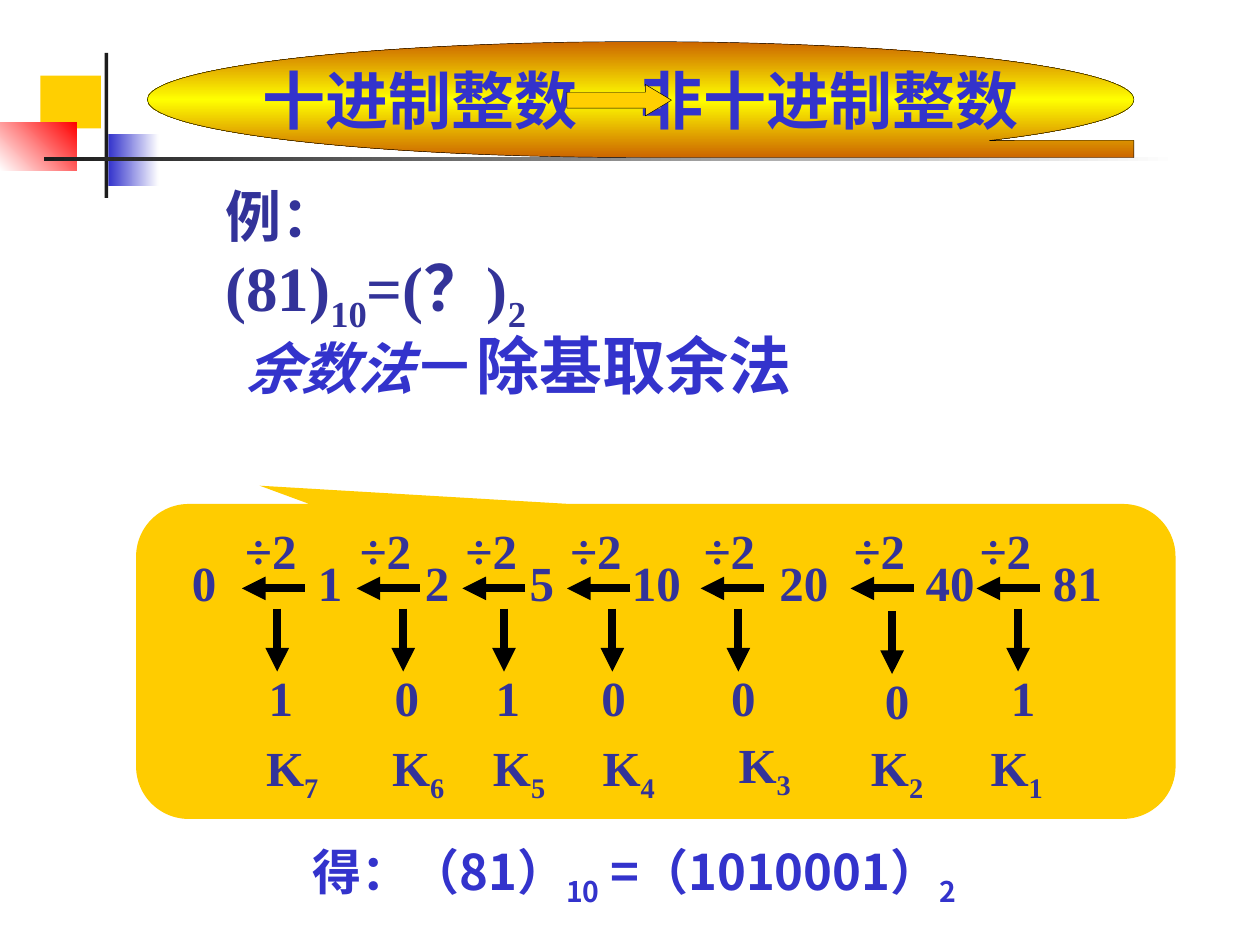
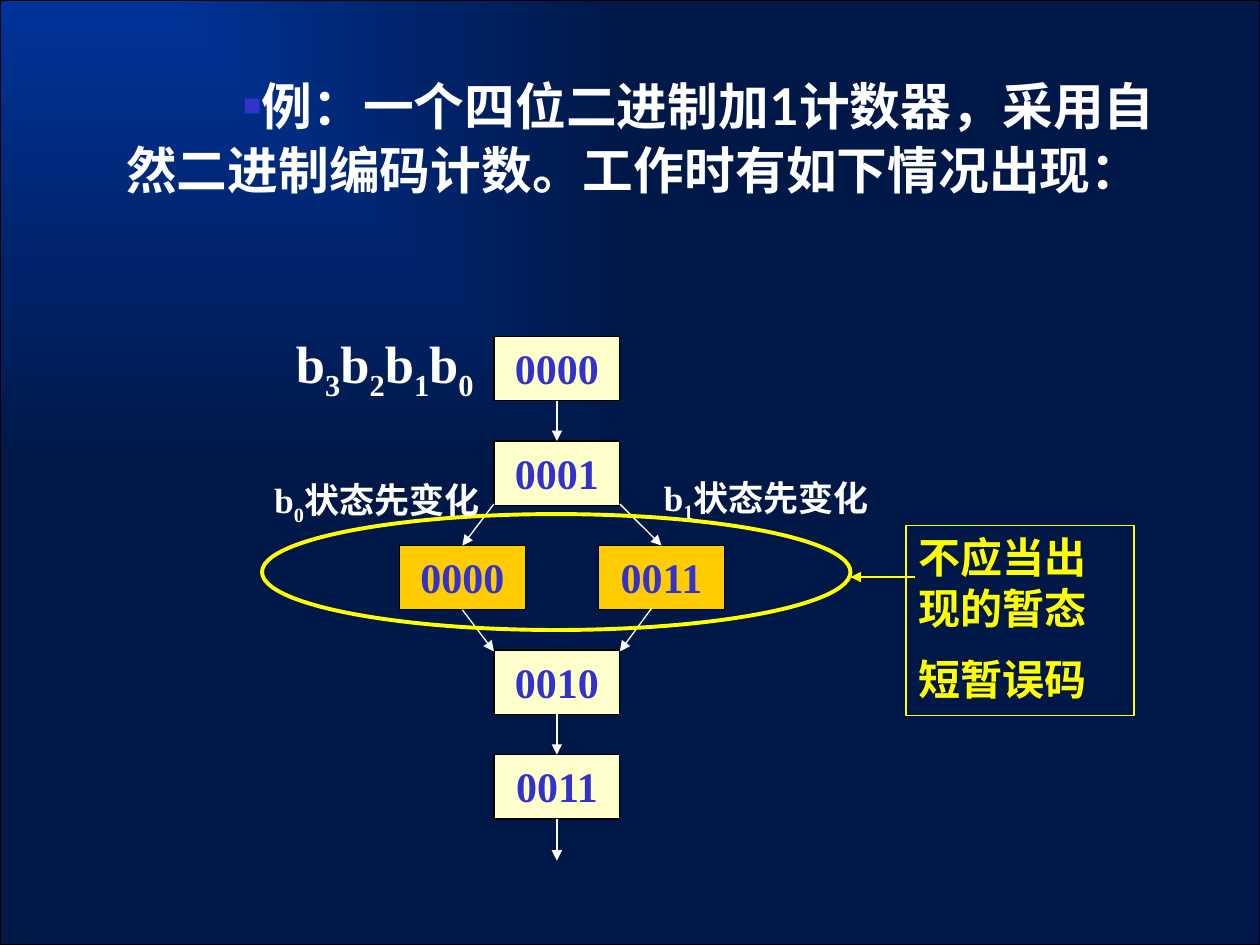
from lxml import etree
from pptx import Presentation
from pptx.dml.color import RGBColor
from pptx.enum.shapes import MSO_CONNECTOR, MSO_SHAPE as Preset
from pptx.enum.text import MSO_ANCHOR as Anchor, MSO_AUTO_SIZE as AutoSize, PP_ALIGN as Align
from pptx.oxml.ns import qn
from pptx.util import Inches, Pt

# ---- Shared style ----
SERIF, SANS, BODY = "Times New Roman", "Noto Sans CJK SC", "Lato"
BLUE, NAVY, GOLD, AMBER = "3333CC", "333399", "FFCF01", "FFCC00"
WHITE, BLACK, YELLOW, CREAM, DARK = "FFFFFF", "000000", "FFFF00", "FFFFCC", "1C1C1C"

# ---- Content: slide 1 ----
TITLE = "十进制整数　非十进制整数"
# Each run: text, then what differs from the box's style
EXAMPLE = [("例：", {"size": 32}), ("\n", {}), ("(81)", {}), ("10", {"sub": True}),
           ("=(？)", {}), ("2", {"sub": True})]
METHOD = [("余数法", {"size": 32, "font": SERIF, "italic": True}), ("－除基取余法", {})]
RESULT = [("得：（81）", {}), ("10", {"sub": True}), (" =（1010001）", {}), ("2", {"sub": True})]
# Quotient and the centre of its label
QUOTIENTS = [("81", 8.55), ("40", 7.54), ("20", 6.38), ("10", 5.21),
             ("5", 4.3), ("2", 3.47), ("1", 2.62), ("0", 1.62)]
# Division arrow start, drop arrow x, remainder, its centre, K centre, drop shift, K shift
DIVISIONS = [
    (8.25, 8.08, "1", 8.12, 8.07, 0, 0),
    (7.25, 7.08, "0", 7.12, 7.12, 0.02, 0),
    (6.06, 5.86, "0", 5.9, 6.07, 0, -0.02),
    (5, 4.86, "0", 4.87, 4.99, 0, 0),
    (4.17, 4, "1", 4.03, 4.12, 0, 0),
    (3.33, 3.2, "0", 3.23, 3.32, 0, 0),
    (2.42, 2.2, "1", 2.23, 2.32, 0, 0),
]

# ---- Content: slide 2 ----
INTRO = "例：一个四位二进制加1计数器，采用自然二进制编码计数。工作时有如下情况出现："
# State: code, left, row, fill
STATES = {
    "start": ("0000", 3.92, 0, CREAM),
    "one": ("0001", 3.92, 1, CREAM),
    "wrong_left": ("0000", 3.17, 2, AMBER),
    "wrong_right": ("0011", 4.75, 2, AMBER),
    "two": ("0010", 3.92, 3, CREAM),
    "three": ("0011", 3.92, 4, CREAM),
}
STATE_TOP, STATE_STEP, STATE_SIZE = 2.67, 0.83, (1, 0.51)
# Transition: from point, to point, state left by its bottom, state entered by its top
TRANSITIONS = [
    ((4.42, 3.17), (4.42, 3.5), "start", "one"),
    ((3.92, 4), (3.67, 4.33), None, "wrong_left"),
    ((4.92, 4), (5.25, 4.33), None, "wrong_right"),
    ((3.67, 4.83), (3.92, 5.17), "wrong_left", None),
    ((5.17, 4.83), (4.92, 5.17), None, None),
    ((4.42, 5.67), (4.42, 6), "two", "three"),
    ((4.42, 6.5), (4.42, 6.83), "three", None),
]
CHANGES = [("0", 2.08, 3.75), ("1", 5.17, 3.73)]
WARNING = ["不应当出现的暂态", "短暂误码"]


# ---- Helpers ----
def colour(value):
    return RGBColor.from_string(value)


def set_gradient(shape, stops, angle=None):
    """Linear gradient at an angle, or one spreading from the top left corner."""
    shape.fill.background()
    empty = shape._element.spPr.find(qn("a:noFill"))
    gradient = etree.Element(qn("a:gradFill"), rotWithShape="1")
    stop_list = etree.SubElement(gradient, qn("a:gsLst"))
    for position, value in stops:
        stop = etree.SubElement(stop_list, qn("a:gs"), pos=str(position * 1000))
        etree.SubElement(stop, qn("a:srgbClr"), val=value)
    if angle is None:
        spread = etree.SubElement(gradient, qn("a:path"), path="rect")
        etree.SubElement(spread, qn("a:fillToRect"), r="100000", b="100000")
    else:
        etree.SubElement(gradient, qn("a:lin"), ang=str(angle * 60000), scaled="0")
    empty.getparent().replace(empty, gradient)


def add_box(page, preset, place, fill=None, line=None, width=0.75, angle=None):
    box = page.shapes.add_shape(preset, *map(Inches, place))
    box.shadow.inherit = False
    if isinstance(fill, list):
        set_gradient(box, fill, angle)
    elif fill:
        box.fill.solid()
        box.fill.fore_color.rgb = colour(fill)
    else:
        box.fill.background()
    if line:
        box.line.color.rgb = colour(line)
        box.line.width = Pt(width)
    else:
        box.line.fill.background()
    return box


def write_para(para, runs, size, color, font=SERIF, align=Align.LEFT):
    para.alignment = align
    for text, change in runs:
        if text == "\n":
            para.add_line_break()
            continue
        span = para.add_run()
        span.text = text
        name = change.get("font", font)
        span.font.size = Pt(change.get("size", size))
        span.font.bold = True
        span.font.italic = change.get("italic", False)
        span.font.color.rgb = colour(color)
        span.font.name = name
        properties = span.font._element
        east_asian = SANS if name == SANS else BODY
        etree.SubElement(properties, qn("a:ea"), typeface=east_asian)
        if change.get("sub"):
            properties.set("baseline", "-25000")


def write_text(shape, paragraphs, size, color, font=SERIF, align=Align.LEFT,
               anchor=Anchor.TOP, wrap=True):
    frame = shape.text_frame
    frame.word_wrap = wrap
    frame.auto_size = AutoSize.NONE
    frame.vertical_anchor = anchor
    for index, runs in enumerate(paragraphs):
        para = frame.add_paragraph() if index else frame.paragraphs[0]
        if index:
            para.space_before = Pt(size / 2)
        write_para(para, runs, size, color, font, align)


def add_text(page, place, paragraphs, size, color, **style):
    box = page.shapes.add_textbox(*map(Inches, place))
    write_text(box, paragraphs, size, color, **style)
    return box


def add_arrow(page, start, end, color, width, source=None, target=None):
    arrow = page.shapes.add_connector(MSO_CONNECTOR.STRAIGHT, *map(Inches, start + end))
    if source is not None:
        arrow.begin_connect(source, 2)
    if target is not None:
        arrow.end_connect(target, 0)
    arrow.line.color.rgb = colour(color)
    arrow.line.width = Pt(width)
    etree.SubElement(arrow.line._get_or_add_ln(), qn("a:tailEnd"), type="triangle")
    etree.SubElement(arrow._element.spPr, qn("a:effectLst"))
    return arrow


def add_label(page, center, top, runs):
    add_text(page, (center - 0.4, top, 0.8, 0.57), [runs], 28, NAVY,
             align=Align.CENTER, anchor=Anchor.MIDDLE, wrap=False)


def add_corner_ornament(page):
    for place, fill, angle in [
        ((0.32, 0.6, 0.48, 0.42), GOLD, None),
        ((0.86, 1.06, 0.4, 0.42), [(0, BLUE), (100, WHITE)], 0),
        ((0, 0.97, 0.61, 0.38), [(0, WHITE), (100, "FF0000")], 315),
        ((0.83, 0.42, 0.03, 1.15), DARK, None),
        ((0.35, 1.25, 9, 0.03), [(0, DARK), (100, WHITE)], 0),
    ]:
        add_box(page, Preset.RECTANGLE, place, fill, angle=angle)


# ---- Slide 1: remainder method ----
def build_conversion(deck):
    page = deck.slides.add_slide(deck.slide_layouts[5])
    add_corner_ornament(page)
    middle = {"anchor": Anchor.MIDDLE, "font": SANS}
    add_text(page, (1.85, 2.54, 4.81, 0.7), [METHOD], 36, BLUE, **middle)
    add_text(page, (2.16, 6.66, 5.75, 0.57), [RESULT], 28, BLUE,
             align=Align.CENTER, **middle)

    # Division chain, right to left
    callout = add_box(page, Preset.ROUNDED_RECTANGULAR_CALLOUT, (1.08, 4, 8.25, 2.5), AMBER)
    for index, value in enumerate((-0.381, -0.558, 0.167)):
        callout.adjustments[index] = value
    for quotient, center in QUOTIENTS:
        add_label(page, center, 4.33, [(quotient, {})])
    for number, division in enumerate(DIVISIONS, 1):
        start, drop, remainder, digit_center, k_center, drop_shift, k_shift = division
        add_arrow(page, (start, 4.67), (start - 0.5, 4.67), BLACK, 4.5)
        add_label(page, start - 0.27, 4.08, [("÷2", {})])
        drop_top = 4.83 + drop_shift
        add_arrow(page, (drop, drop_top), (drop, drop_top + 0.5), BLACK, 4.5)
        add_label(page, digit_center, 5.25 + drop_shift, [(remainder, {})])
        add_label(page, k_center, 5.83 + k_shift, [("K", {}), (str(number), {"sub": True})])

    # Title on its band, with the arrow in front
    band = (1.17, 0.33, 7.83, 0.92)
    add_box(page, Preset.FLOWCHART_SEQUENTIAL_ACCESS_STORAGE, band,
            [(0, "CC6600"), (50, YELLOW), (100, "CC6600")], BLACK, 0.25, 90)
    title = page.shapes.title
    title.left, title.top, title.width, title.height = map(Inches, band)
    write_text(title, [[(TITLE, {})]], 36, BLUE, align=Align.CENTER, **middle)
    page.shapes._spTree.append(title._element)
    arrow = add_box(page, Preset.RIGHT_ARROW, (4.5, 0.67, 0.83, 0.25), GOLD, BLACK, 0.25)
    arrow.adjustments[1] = 0.833
    add_text(page, (1.69, 1.39, 3.55, 0.7), [EXAMPLE], 36, NAVY)


# ---- Slide 2: counter states ----
def build_counter(deck):
    page = deck.slides.add_slide(deck.slide_layouts[1])
    title, intro = page.shapes.title, page.placeholders[1]
    title._element.getparent().remove(title._element)
    add_box(page, Preset.RECTANGLE, (0, 0, 10, 7.5),
            [(0, "003399"), (100, "001847")], BLACK)

    # Introduction with a square bullet
    page.shapes._spTree.append(intro._element)
    intro.left, intro.top, intro.width, intro.height = map(Inches, (0.9, 0.52, 8.49, 1.17))
    para = intro.text_frame.paragraphs[0]
    para.line_spacing = 1.05
    para.space_before = Pt(0)
    properties = para._p.get_or_add_pPr()
    properties.set("marL", "0")
    properties.set("indent", str(Inches(0.93)))
    bullet_color = etree.SubElement(properties, qn("a:buClr"))
    etree.SubElement(bullet_color, qn("a:srgbClr"), val=BLUE)
    etree.SubElement(properties, qn("a:buSzPct"), val="60000")
    etree.SubElement(properties, qn("a:buChar"), char="■")
    write_text(intro, [[(INTRO, {})]], 29, WHITE, font=BODY)

    # States and transitions
    boxes = {}
    for name, (code, left, row, fill) in STATES.items():
        place = (left, STATE_TOP + row * STATE_STEP, *STATE_SIZE)
        boxes[name] = add_box(page, Preset.RECTANGLE, place, fill, BLACK)
        write_text(boxes[name], [[(code, {})]], 24, BLUE, align=Align.CENTER)
    for start, end, source, target in TRANSITIONS:
        add_arrow(page, start, end, WHITE, 0.75, boxes.get(source), boxes.get(target))
    add_box(page, Preset.OVAL, (2.08, 4.08, 4.67, 0.92), None, YELLOW, 2.25)

    # Labels
    bits = [run for bit in "3210" for run in (("b", {}), (bit, {"sub": True}))]
    add_text(page, (2.25, 2.58, 1.92, 0.6), [bits], 30, WHITE)
    for bit, left, top in CHANGES:
        add_text(page, (left, top, 2.17, 0.43),
                 [[("b", {}), (bit, {"sub": True}), ("状态先变化", {})]], 20, WHITE)
    warning = add_box(page, Preset.RECTANGLE, (7.19, 4.17, 1.81, 1.51), None, YELLOW)
    write_text(warning, [[(line, {})] for line in WARNING], 24, YELLOW)
    add_arrow(page, (7.26, 4.58), (6.75, 4.58), YELLOW, 0.75)


def main():
    deck = Presentation()
    deck.slide_width, deck.slide_height = Inches(10), Inches(7.5)
    build_conversion(deck)
    build_counter(deck)
    deck.save("out.pptx")


if __name__ == "__main__":
    main()
